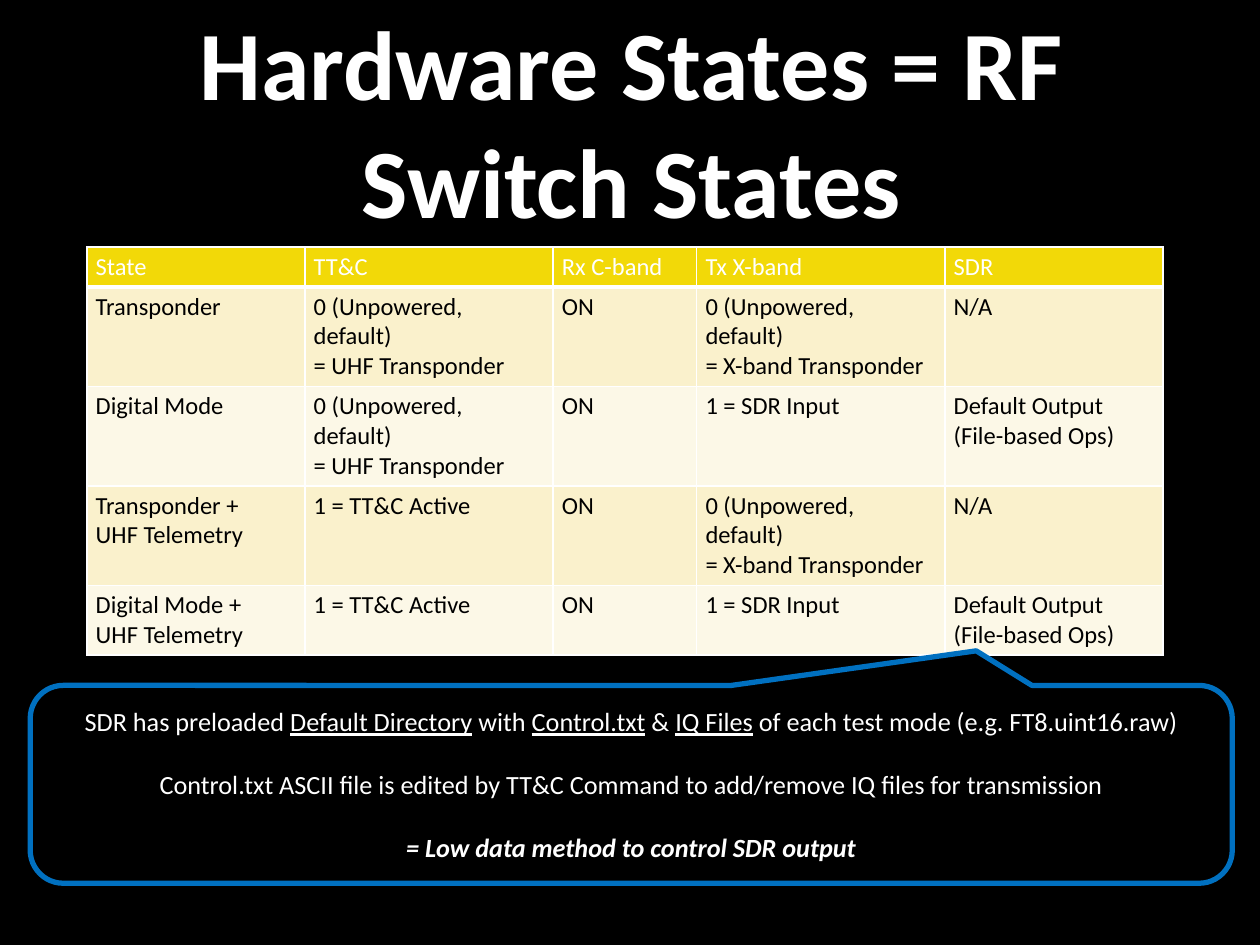
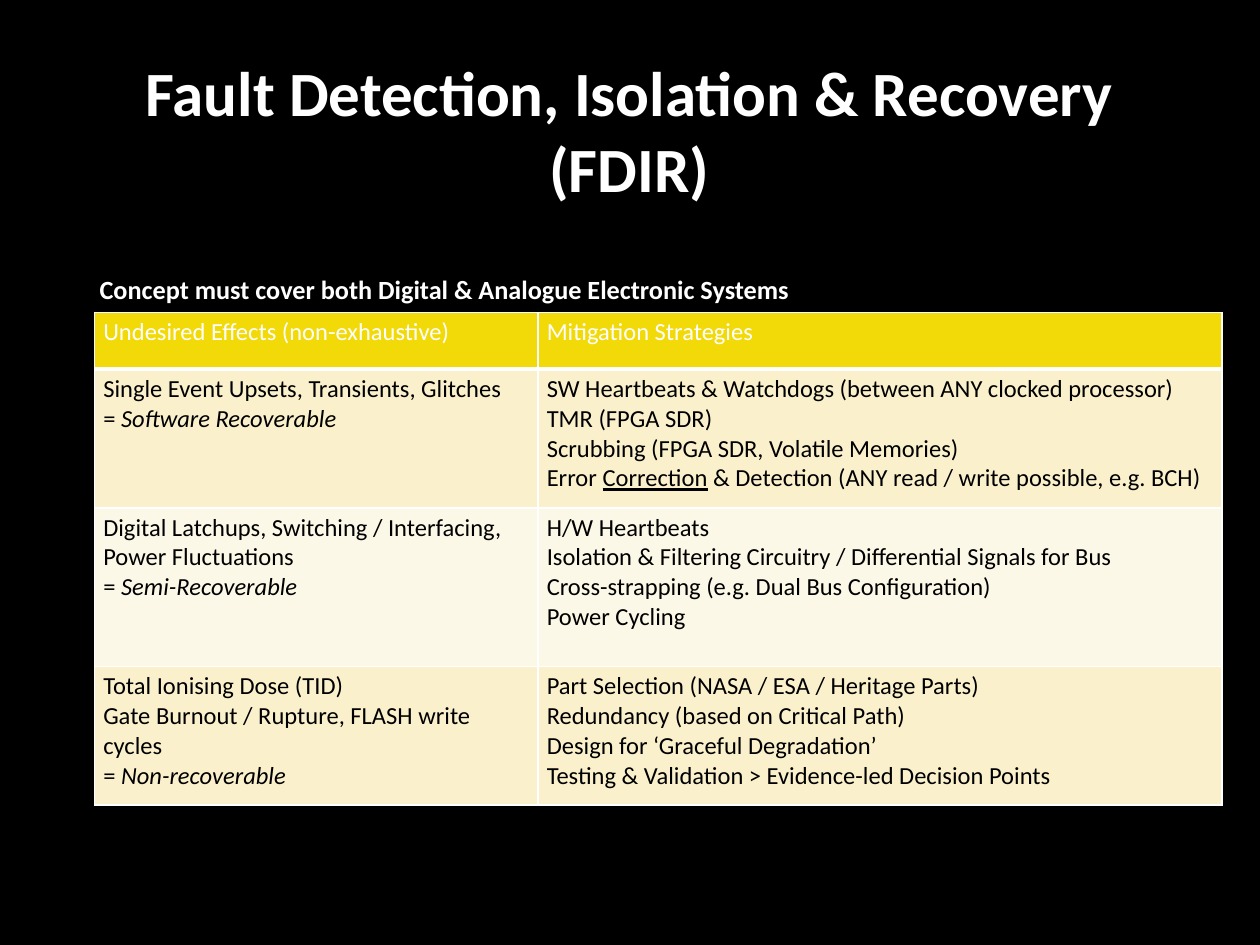
"""Build two slides on radio hardware states and fault handling."""
from dataclasses import dataclass
from typing import Any, Optional, Sequence, Union

import lxml.etree
import pptx
import pptx.dml.color
import pptx.enum.shapes
import pptx.enum.text
import pptx.oxml.ns
import pptx.util

Inches = pptx.util.Inches
Pt = pptx.util.Pt
Align = pptx.enum.text.PP_ALIGN
Anchor = pptx.enum.text.MSO_ANCHOR

FONT = "Calibri"
COLORS = {
    "black": "000000",
    "white": "FFFFFF",
    "header": "F2D908",
    "odd_row": "FAF1CC",
    "even_row": "FCF8E7",
    "callout": "0070C0",
}


@dataclass(frozen=True)
class Span:
    text: str
    bold: bool = False
    italic: bool = False
    underline: bool = False


Line = Union[str, Sequence[Span]]
Cell = Sequence[Line]


@dataclass(frozen=True)
class Area:
    left: float
    top: float
    width: float
    height: float

    def lengths(self) -> list[int]:
        return [Inches(value) for value in (self.left, self.top, self.width, self.height)]


@dataclass(frozen=True)
class Grid:
    left: float
    top: float
    columns: Sequence[float]
    rows: Sequence[float]
    cells: Sequence[Sequence[Cell]]


def rgb(name: str) -> pptx.dml.color.RGBColor:
    return pptx.dml.color.RGBColor.from_string(COLORS[name])


def paint(target: Any, color: str) -> None:
    target.fill.solid()
    target.fill.fore_color.rgb = rgb(color)


def write(frame: Any, lines: Cell, size: float, color: str,
          align: Optional[Align] = None, gap: float = 0) -> None:
    for index, line in enumerate(lines):
        para = frame.paragraphs[0] if index == 0 else frame.add_paragraph()
        para.alignment = align
        para.space_before = Pt(gap if index else 0)
        for span in [Span(line)] if isinstance(line, str) else line:
            run = para.add_run()
            run.text = span.text
            run.font.name = FONT
            run.font.size = Pt(size)
            run.font.color.rgb = rgb(color)
            run.font.bold = span.bold
            run.font.italic = span.italic
            run.font.underline = span.underline


def fill_placeholder(box: Any, area: Area, text: str, size: float,
                     align: Align, anchor: Anchor) -> None:
    box.left, box.top, box.width, box.height = area.lengths()
    frame = box.text_frame
    frame.word_wrap = True
    frame.auto_size = pptx.enum.text.MSO_AUTO_SIZE.NONE
    frame.vertical_anchor = anchor
    write(frame, [[Span(text, bold=True)]], size, "white", align)


def add_page(deck: Any, layout: int, title: str, area: Area, size: float) -> Any:
    page = deck.slides.add_slide(deck.slide_layouts[layout])
    fill_placeholder(page.shapes.title, area, title, size, Align.CENTER, Anchor.MIDDLE)
    return page


def add_borders(cell: Any, bottom: float) -> None:
    properties = cell._tc.get_or_add_tcPr()
    for side, width in (("L", 1), ("R", 1), ("T", 1), ("B", bottom)):
        tag = pptx.oxml.ns.qn(f"a:ln{side}")
        line = lxml.etree.SubElement(properties, tag, w=str(Pt(width)))
        solid = lxml.etree.SubElement(line, pptx.oxml.ns.qn("a:solidFill"))
        lxml.etree.SubElement(solid, pptx.oxml.ns.qn("a:srgbClr"), val=COLORS["white"])


def add_grid(page: Any, grid: Grid) -> None:
    area = Area(grid.left, grid.top, sum(grid.columns), sum(grid.rows))
    table = page.shapes.add_table(len(grid.rows), len(grid.columns), *area.lengths()).table
    for column, width in zip(table.columns, grid.columns):
        column.width = Inches(width)
    for index, (row, height) in enumerate(zip(table.rows, grid.rows)):
        row.height = Inches(height)
        header = index == 0
        color = "header" if header else "odd_row" if index % 2 else "even_row"
        for cell, lines in zip(row.cells, grid.cells[index]):
            add_borders(cell, 3 if header else 1)
            paint(cell, color)
            cell.margin_left = cell.margin_right = Inches(0.07)
            cell.margin_top = cell.margin_bottom = Inches(0.04)
            write(cell.text_frame, lines, 14, "white" if header else "black")


def add_callout(page: Any, area: Area, lines: Cell) -> None:
    kind = pptx.enum.shapes.MSO_SHAPE.ROUNDED_RECTANGULAR_CALLOUT
    callout = page.shapes.add_shape(kind, *area.lengths())
    for index, value in enumerate((0.287, -0.675, 0.167)):
        callout.adjustments[index] = value
    callout.shadow.inherit = False
    paint(callout, "black")
    callout.line.color.rgb = rgb("callout")
    callout.line.width = Pt(3)
    callout.text_frame.word_wrap = True
    callout.text_frame.vertical_anchor = Anchor.MIDDLE
    write(callout.text_frame, lines, 15, "white", Align.CENTER, gap=18)


def add_states_page(deck: Any) -> None:
    page = add_page(deck, 5, "Hardware States = RF Switch States",
                    Area(0.7, 0.41, 8.62, 1.09), 56)
    uhf = ["0 (Unpowered, default)", "= UHF Transponder"]
    x_band = ["0 (Unpowered, default)", "= X-band Transponder"]
    active, sdr_input = ["1 = TT&C Active"], ["1 = SDR Input"]
    output = ["Default Output", "(File-based Ops)"]
    on, unused = ["ON"], ["N/A"]
    add_grid(page, Grid(
        0.69, 1.96, (1.73, 1.97, 1.14, 1.97, 1.73), (0.3, 0.75, 0.75, 0.75, 0.53),
        [
            [["State"], ["TT&C"], ["Rx C-band"], ["Tx X-band"], ["SDR"]],
            [["Transponder"], uhf, on, x_band, unused],
            [["Digital Mode"], uhf, on, sdr_input, output],
            [["Transponder +", "UHF Telemetry"], active, on, x_band, unused],
            [["Digital Mode +", "UHF Telemetry"], active, on, sdr_input, output],
        ]))
    add_callout(page, Area(0.24, 5.44, 9.54, 1.57), [
        [
            Span("SDR has preloaded "), Span("Default Directory", underline=True),
            Span(" with "), Span("Control.txt", underline=True),
            Span(" & "), Span("IQ Files", underline=True),
            Span(" of each test mode (e.g. FT8.uint16.raw)"),
        ],
        "Control.txt ASCII file is edited by TT&C Command to add/remove IQ files for transmission",
        [Span("= Low data method to control SDR output", bold=True, italic=True)],
    ])


def outcome(text: str) -> Line:
    return [Span("= "), Span(text, italic=True)]


def add_faults_page(deck: Any) -> None:
    page = add_page(deck, 1, "Fault Detection, Isolation & Recovery (FDIR)",
                    Area(0.85, 0.12, 8.29, 1.81), 36)
    body = page.placeholders[1]
    properties = body.text_frame.paragraphs[0]._p.get_or_add_pPr()
    properties.set("marL", "0")
    properties.set("indent", "0")
    lxml.etree.SubElement(properties, pptx.oxml.ns.qn("a:buNone"))
    fill_placeholder(body, Area(0.69, 2.12, 8.62, 0.49),
                     "Concept must cover both Digital & Analogue Electronic Systems",
                     15, Align.LEFT, Anchor.TOP)
    add_grid(page, Grid(
        0.75, 2.48, (3.52, 5.43), (0.45, 1.1, 1.26, 1.1),
        [
            [["Undesired Effects (non-exhaustive)"], ["Mitigation Strategies"]],
            [
                ["Single Event Upsets, Transients, Glitches", outcome("Software Recoverable")],
                [
                    "SW Heartbeats & Watchdogs (between ANY clocked processor)",
                    "TMR (FPGA SDR)",
                    "Scrubbing (FPGA SDR, Volatile Memories)",
                    [
                        Span("Error "), Span("Correction", underline=True),
                        Span(" & Detection (ANY read / write possible, e.g. BCH)"),
                    ],
                ],
            ],
            [
                ["Digital Latchups, Switching / Interfacing, Power Fluctuations",
                 outcome("Semi-Recoverable")],
                [
                    "H/W Heartbeats",
                    "Isolation & Filtering Circuitry / Differential Signals for Bus",
                    "Cross-strapping (e.g. Dual Bus Configuration)",
                    "Power Cycling",
                ],
            ],
            [
                ["Total Ionising Dose (TID)", "Gate Burnout / Rupture, FLASH write cycles",
                 outcome("Non-recoverable")],
                [
                    "Part Selection (NASA / ESA / Heritage Parts)",
                    "Redundancy (based on Critical Path)",
                    "Design for ‘Graceful Degradation’",
                    "Testing & Validation > Evidence-led Decision Points",
                ],
            ],
        ]))


def main() -> None:
    deck = pptx.Presentation()
    deck.slide_width, deck.slide_height = Inches(10), Inches(7.5)
    paint(deck.slide_master.background, "black")
    add_states_page(deck)
    add_faults_page(deck)
    deck.save("out.pptx")


if __name__ == "__main__":
    main()
